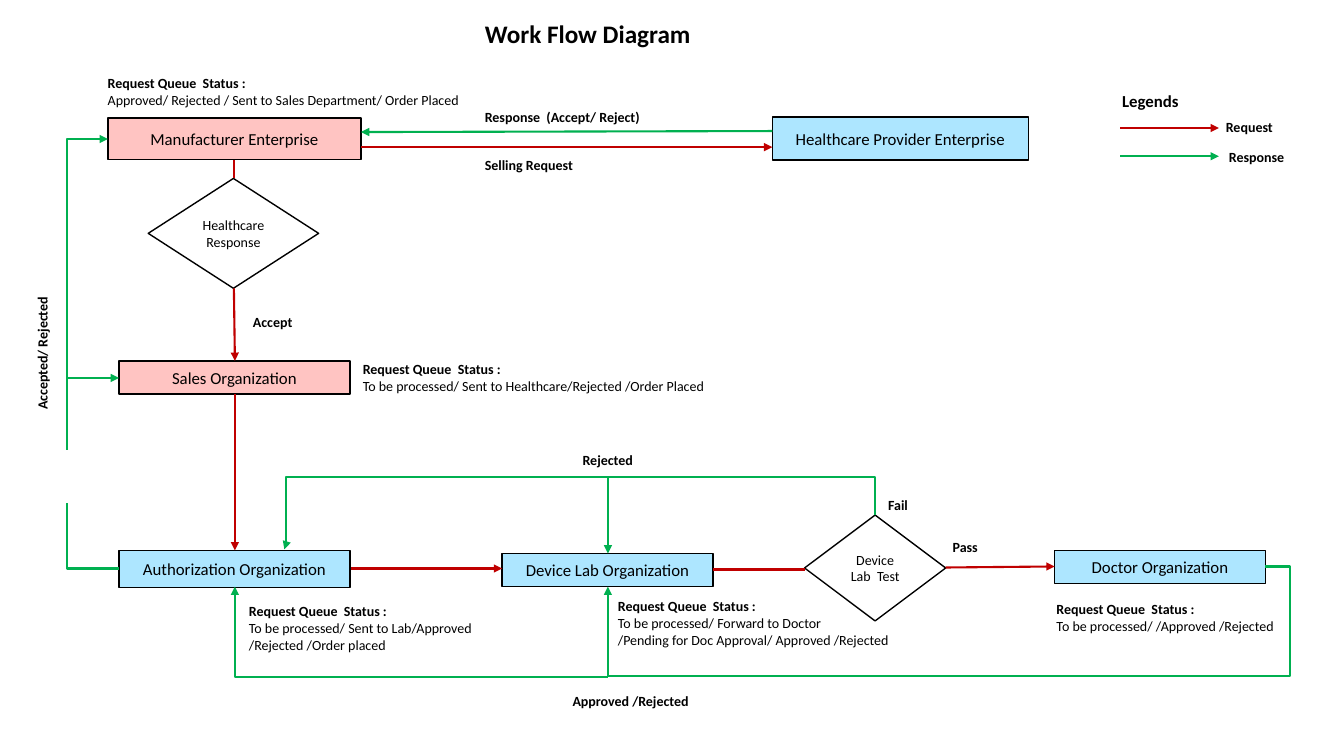
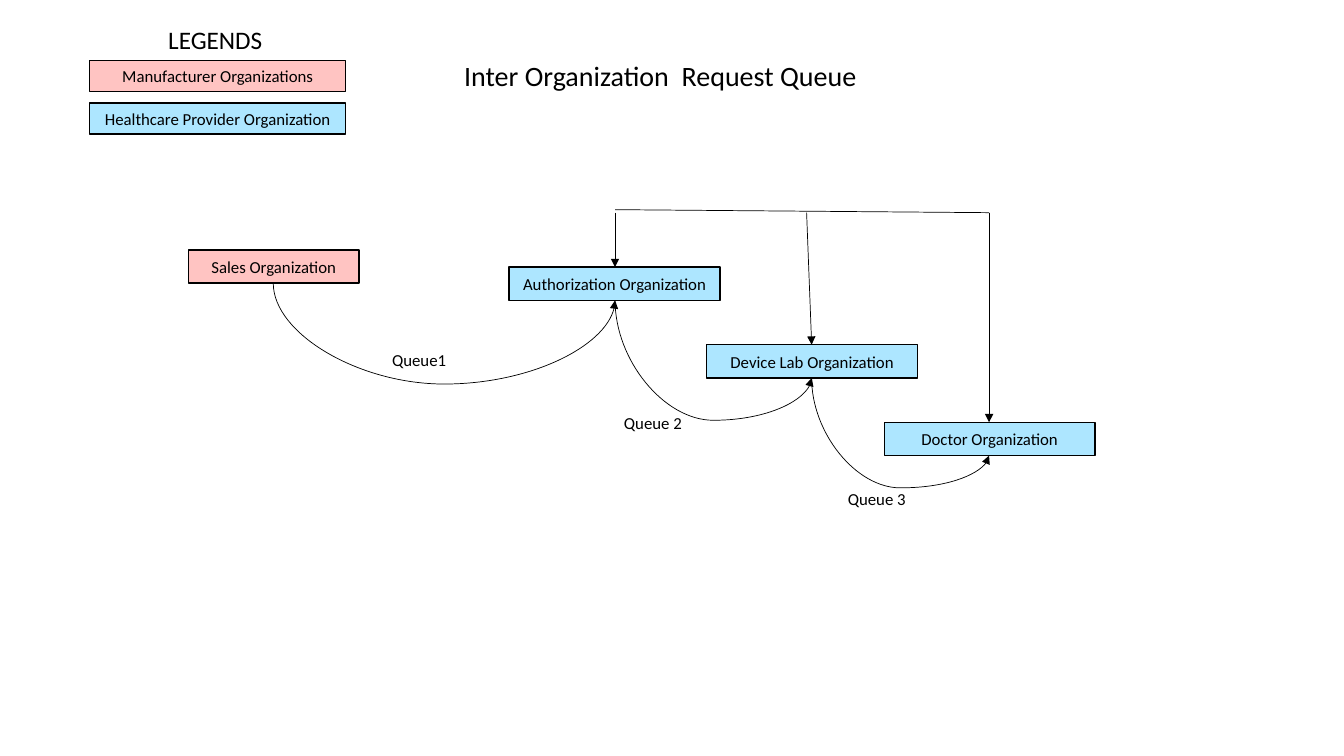
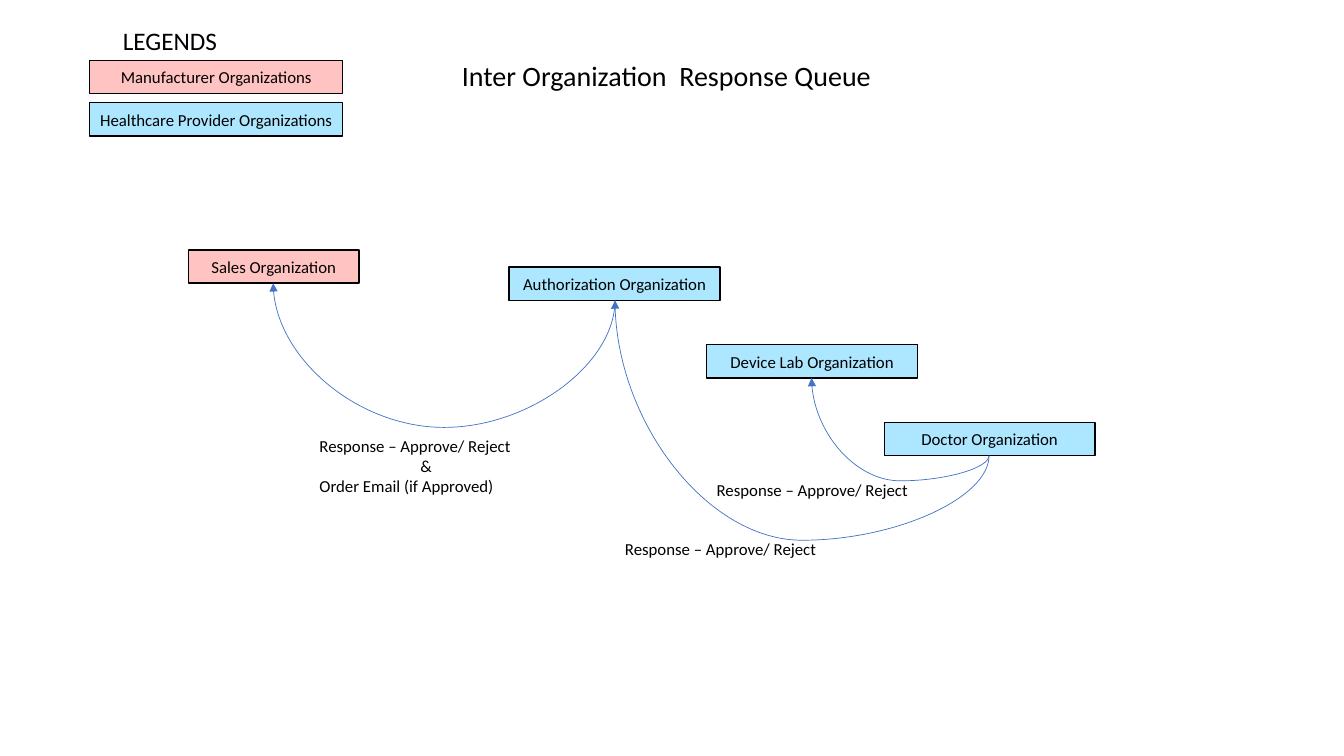
"""Build a workflow diagram and two organization queue slides."""
from dataclasses import dataclass

from lxml.etree import SubElement
from pptx import Presentation
from pptx.dml.color import RGBColor
from pptx.enum.shapes import MSO_CONNECTOR as CONN, MSO_SHAPE as SHAPE
from pptx.enum.text import MSO_ANCHOR as ANCHOR, MSO_AUTO_SIZE as AUTO, PP_ALIGN as ALIGN
from pptx.oxml.ns import qn
from pptx.util import Inches, Pt


@dataclass(frozen=True)
class Theme:
    font: str = "Calibri"
    black: str = "000000"
    white: str = "FFFFFF"
    pink: str = "FFC4C2"
    sky: str = "ADE6FF"
    red: str = "C00000"
    green: str = "00B050"
    blue: str = "4472C4"
    small: int = 10
    body: int = 12
    heading: int = 18
    title: int = 20
    thin: float = 0.5
    border: float = 1
    flow: float = 1.5


T = Theme()
STATUS = "Request Queue  Status :"
ANSWER = "Response – Approve/ Reject"
ORGANIZATIONS = [
    ("Sales Organization", (1.87, 2.48, 1.69, 0.33), T.pink),
    ("Authorization Organization", (5.05, 2.65, 2.09, 0.33), T.sky),
    ("Device Lab Organization", (7.01, 3.42, 2.09, 0.33), T.sky),
    ("Doctor Organization", (8.77, 4.19, 2.09, 0.33), T.sky),
]
SALES, AUTH, LAB, DOCTOR = (2.71, 2.81), (6.1, 2.98), (8.05, 3.75), (9.81, 4.52)


def inches(values):
    return [Inches(v) for v in values]


def write(tf, lines, size, align=ALIGN.LEFT, bold_lines=0):
    for i, line in enumerate(lines):
        p = tf.paragraphs[0] if i == 0 else tf.add_paragraph()
        p.alignment = align
        r = p.add_run()
        r.text = line
        fmt = {"name": T.font, "size": Pt(size), "bold": i < bold_lines}
        for key, value in fmt.items():
            setattr(r.font, key, value)
        r.font.color.rgb = RGBColor.from_string(T.black)


def title(s, text, at, size=T.title, align=ALIGN.CENTER, anchor=ANCHOR.MIDDLE, bold=0):
    sp = s.shapes.title
    for key, value in zip(("left", "top", "width", "height"), inches(at)):
        setattr(sp, key, value)
    tf = sp.text_frame
    for key, value in {"word_wrap": True, "auto_size": AUTO.NONE,
                       "vertical_anchor": anchor}.items():
        setattr(tf, key, value)
    write(tf, [text], size, align, bold)


def box(s, lines, at, fill, size=T.body, kind=SHAPE.RECTANGLE):
    sp = s.shapes.add_shape(kind, *inches(at))
    sp.shadow.inherit = False
    sp.fill.solid()
    sp.fill.fore_color.rgb = RGBColor.from_string(fill)
    sp.line.color.rgb = RGBColor.from_string(T.black)
    sp.line.width = Pt(T.border)
    sp.text_frame.vertical_anchor = ANCHOR.MIDDLE
    sp.text_frame.word_wrap = True
    write(sp.text_frame, lines, size, ALIGN.CENTER)


def label(s, lines, at, size=T.small, bold_lines=0):
    sp = s.shapes.add_textbox(*inches(at))
    sp.text_frame.word_wrap = True
    write(sp.text_frame, lines, size, bold_lines=bold_lines)
    return sp


def style(c, color, width, arrow):
    c.line.color.rgb = RGBColor.from_string(color)
    c.line.width = Pt(width)
    if arrow:
        SubElement(c.line._get_or_add_ln(), qn("a:tailEnd"), type="triangle")
    SubElement(c._element.spPr, qn("a:effectLst"))


def straight(s, start, end, color, width=T.flow, arrow=True):
    c = s.shapes.add_connector(CONN.STRAIGHT, *inches(start + end))
    style(c, color, width, arrow)


def route(s, start, end, turn, bends, color, width=T.flow, arrow=True, name="bent"):
    """Draw a turned connector whose bends are slide coordinates on alternating axes."""
    delta = dx, dy = end[0] - start[0], end[1] - start[1]
    across, down = {0: (dx, dy), 90: (dy, -dx), 180: (-dx, -dy), 270: (-dy, dx)}[turn]
    w, h = abs(across), abs(down)
    left, top = (start[0] + end[0] - w) / 2, (start[1] + end[1] - h) / 2
    c = s.shapes.add_connector(CONN.ELBOW, *inches((left, top, left + w, top + h)))
    spPr = c._element.spPr
    xfrm = spPr.find(qn("a:xfrm"))
    flags = {"rot": turn * 60000, "flipH": int(across < 0), "flipV": int(down < 0)}
    for key, value in flags.items():
        xfrm.set(key, str(value))
    geom = spPr.find(qn("a:prstGeom"))
    geom.set("prst", f"{name}Connector{len(bends) + 2}")
    first_axis = turn // 90 % 2
    for i, bend in enumerate(bends):
        axis = (first_axis + i) % 2
        adjust = round((bend - start[axis]) / delta[axis] * 100000)
        SubElement(geom.find(qn("a:avLst")), qn("a:gd"),
                   name=f"adj{i + 1}", fmla=f"val {adjust}")
    style(c, color, width, arrow)


def curve(s, start, end, bottom, color):
    turn = 270 if end[1] > start[1] else 90
    route(s, start, end, turn, [bottom], color, T.thin, name="curved")


def workflow(s):
    title(s, "Work Flow Diagram", (4.71, 0.13, 2.69, 0.4), T.heading,
          ALIGN.LEFT, ANCHOR.TOP, bold=1)
    for text, at, fill in [
        ("Manufacturer Enterprise", (1.07, 1.17, 2.51, 0.41), T.pink),
        ("Healthcare Provider Enterprise", (7.66, 1.16, 2.54, 0.43), T.sky),
        ("Sales Organization", (1.18, 3.58, 2.29, 0.33), T.pink),
        ("Authorization Organization", (1.18, 5.46, 2.29, 0.37), T.sky),
        ("Device Lab Organization", (4.98, 5.49, 2.09, 0.33), T.sky),
        ("Doctor Organization", (10.46, 5.46, 2.09, 0.33), T.sky),
    ]:
        box(s, [text], at, fill)
    for lines, at in [
        (["Healthcare", "Response"], (1.47, 1.77, 1.69, 1.09)),
        (["Device Lab  Test"], (7.98, 5.11, 1.4, 1.05)),
    ]:
        box(s, lines, at, T.white, T.small, SHAPE.DIAMOND)
    for start, end, color, arrow in [
        ((3.58, 1.46), (7.66, 1.46), T.red, True),
        ((7.66, 1.3), (3.58, 1.31), T.green, True),
        ((2.32, 1.59), (2.32, 1.77), T.red, False),
        ((2.32, 2.86), (2.33, 3.58), T.red, True),
        ((2.33, 3.91), (2.33, 5.46), T.red, True),
        ((3.48, 5.64), (4.98, 5.64), T.red, True),
        ((7.07, 5.65), (7.98, 5.65), T.red, False),
        ((9.38, 5.63), (10.46, 5.62), T.red, True),
        ((11.11, 1.27), (12.09, 1.27), T.red, True),
        ((11.11, 1.55), (12.09, 1.55), T.green, True),
    ]:
        straight(s, start, end, color, arrow=arrow)
    for start, end, turn, bends, arrow in [
        ((8.68, 5.11), (6.03, 5.49), 270, [4.73], True),
        ((6.03, 4.73), (2.82, 5.45), 180, [2.84], True),
        ((0.66, 4.46), (1.18, 3.75), 90, [], True),
        ((0.66, 4.99), (1.18, 5.64), 270, [], False),
        ((0.66, 3.75), (1.07, 1.38), 90, [], True),
        ((12.55, 5.62), (6.03, 5.82), 0, [12.8, 6.71], True),
        ((6.03, 6.72), (2.33, 5.82), 180, [], True),
    ]:
        route(s, start, end, turn, bends, T.green, arrow=arrow)
    for text, at in [
        ("Selling Request", (4.71, 1.5, 1.2, 0.27)),
        ("Response  (Accept/ Reject)", (4.71, 1.03, 1.79, 0.27)),
        ("Accept", (2.41, 3.06, 1.52, 0.27)),
        ("Pass", (9.35, 5.29, 0.58, 0.27)),
        ("Fail", (8.71, 4.88, 1.08, 0.27)),
        ("Rejected", (5.68, 4.43, 1.09, 0.27)),
        ("Approved /Rejected", (5.58, 6.82, 1.49, 0.27)),
        ("Request", (12.06, 1.13, 0.75, 0.27)),
        ("Response", (12.09, 1.42, 0.88, 0.27)),
    ]:
        label(s, [text], at, bold_lines=1)
    label(s, ["Legends"], (11.03, 0.85, 0.98, 0.3), T.body, 1)
    label(s, ["Accepted/ Rejected"], (-0.34, 3.27, 1.52, 0.27), bold_lines=1).rotation = 270
    for lines, at in [
        (["Approved/ Rejected / Sent to Sales Department/ Order Placed"],
         (0.97, 0.69, 5.37, 0.44)),
        (["To be processed/ Sent to Healthcare/Rejected /Order Placed"],
         (3.5, 3.53, 3.82, 0.44)),
        (["To be processed/ Sent to Lab/Approved", "/Rejected /Order placed"],
         (2.37, 5.93, 3.91, 0.61)),
        (["To be processed/ Forward to Doctor",
          "/Pending for Doc Approval/ Approved /Rejected"], (6.03, 5.88, 3.91, 0.61)),
        (["To be processed/ /Approved /Rejected"], (10.38, 5.91, 2.75, 0.44)),
    ]:
        label(s, [STATUS, *lines], at, bold_lines=1)


def queue_base(s, heading, heading_width, legend_at, provider, key_size):
    title(s, heading, (4.33, 0.46, heading_width, 0.57))
    label(s, ["LEGENDS"], legend_at, T.heading)
    box(s, ["Manufacturer Organizations"], (0.89, 0.6, *key_size), T.pink)
    box(s, [provider], (0.89, 1.02, *key_size), T.sky)
    for text, at, fill in ORGANIZATIONS:
        box(s, [text], at, fill)


def request_queue(s):
    queue_base(s, "Inter Organization  Request Queue", 4.44, (1.57, 0.19, 1.47, 0.4),
               "Healthcare Provider Organization", (2.54, 0.31))
    for start, end, bottom in [(SALES, AUTH, 3.81), (AUTH, LAB, 4.17), (LAB, DOCTOR, 4.84)]:
        curve(s, start, end, bottom, T.black)
    for text, left, top in [("Queue1", 3.79, 3.42), ("Queue 2", 6.09, 4.05),
                            ("Queue 3", 8.31, 4.8)]:
        label(s, [text], (left, top, 0.92, 0.3), T.body)
    straight(s, (6.1, 2.08), (9.81, 2.11), T.black, T.thin, False)
    for start, end in [((6.1, 2.11), (6.1, 2.65)), ((8, 2.11), (8.05, 3.42)),
                       ((9.81, 2.11), (9.81, 4.19))]:
        straight(s, start, end, T.black, T.thin)


def response_queue(s):
    queue_base(s, "Inter Organization  Response Queue", 4.56, (1.12, 0.2, 1.46, 0.4),
               "Healthcare Provider Organizations", (2.51, 0.33))
    for start, end, bottom in [(DOCTOR, LAB, 4.77), (DOCTOR, AUTH, 5.36), (AUTH, SALES, 4.24)]:
        curve(s, start, end, bottom, T.blue)
    for left, top in [(7.01, 4.71), (6.1, 5.3)]:
        label(s, [ANSWER], (left, top, 2.21, 0.3), T.body)
    email = label(s, [ANSWER, "&", "Order Email (if Approved)"],
                  (3.07, 4.27, 2.21, 0.71), T.body)
    email.text_frame.paragraphs[1]._p.get_or_add_pPr().set("marL", str(Inches(1)))


def main():
    prs = Presentation()
    prs.slide_width, prs.slide_height = Inches(13.33), Inches(7.5)
    for build in (workflow, request_queue, response_queue):
        build(prs.slides.add_slide(prs.slide_layouts[5]))
    prs.save("out.pptx")


main()
